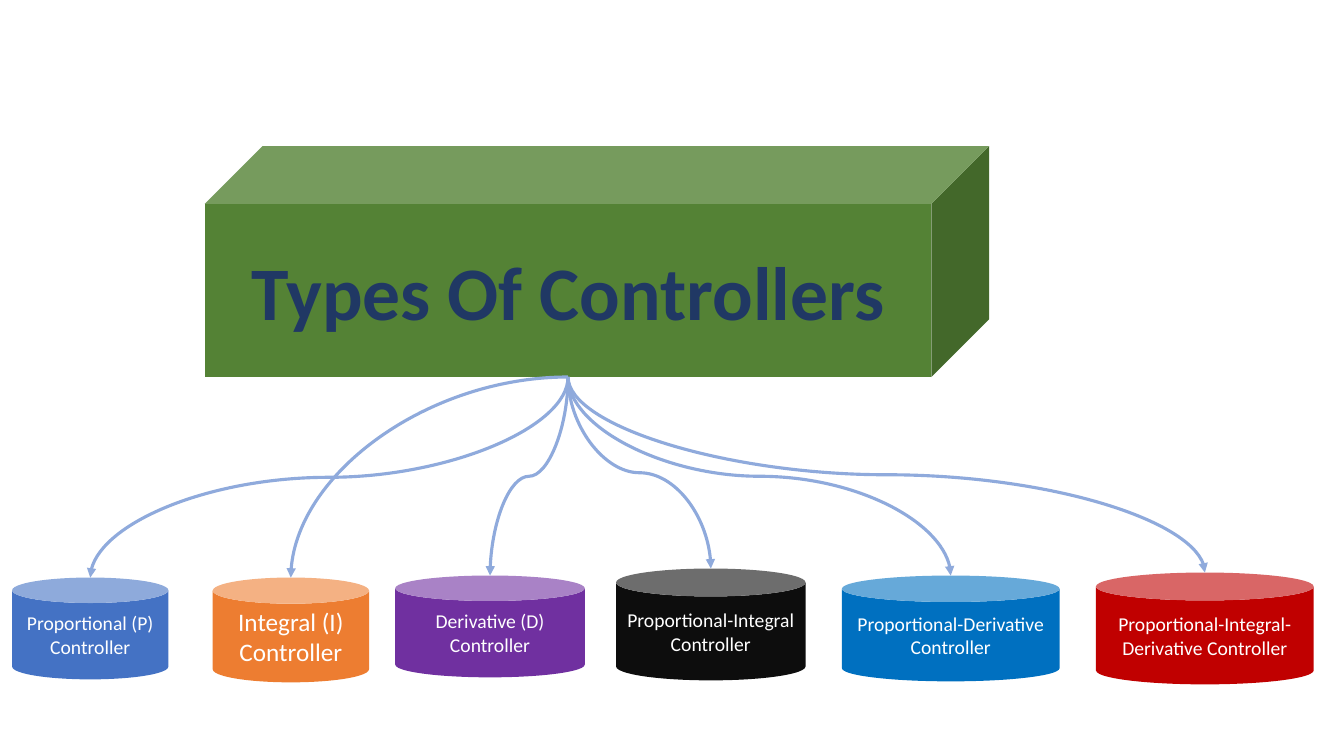
import dataclasses

import pptx
import pptx.dml.color
import pptx.enum.shapes
import pptx.enum.text
import pptx.oxml.ns
import pptx.util
from lxml import etree

PX = 9144
SHAPES = pptx.enum.shapes.MSO_SHAPE


@dataclasses.dataclass(frozen=True)
class Theme:
    """Colours and type sizes of the slide."""
    font: str = "Calibri"
    title_fill: str = "548235"
    title_text: str = "203864"
    can_text: str = "FFFFFF"
    arrow: str = "8FAADC"
    title_size: int = 54
    large_size: int = 18
    body_size: int = 14
    arrow_width: float = 2.25


THEME = Theme()

CONTROLLERS = [
    ("Proportional (P)\nController", (12, 573, 155, 101), "4472C4", THEME.body_size),
    ("Integral (I) Controller", (211, 573, 155, 104), "ED7D31", THEME.large_size),
    ("Derivative (D) Controller", (392, 571, 188, 101), "7030A0", THEME.body_size),
    ("Proportional-Integral Controller", (611, 564, 188, 111), "0D0D0D", THEME.body_size),
    ("Proportional-Derivative Controller", (835, 571, 216, 105), "0070C0", THEME.body_size),
    ("Proportional-Integral-Derivative Controller", (1087, 568, 216, 111), "C00000", THEME.body_size),
]
QUARTER_ARC = "Integral (I) Controller"


def rgb(value):
    """Return the colour object for a hex value."""
    return pptx.dml.color.RGBColor.from_string(value)


def add_solid(page, kind, box, fill, text, size, colour, bold=False):
    """Place a filled solid with centred text in the given box."""
    solid = page.shapes.add_shape(kind, *(length * PX for length in box))
    solid.shadow.inherit = False
    solid.fill.solid()
    solid.fill.fore_color.rgb = rgb(fill)
    solid.line.fill.background()
    frame = solid.text_frame
    frame.word_wrap = True
    frame.vertical_anchor = pptx.enum.text.MSO_ANCHOR.MIDDLE
    frame.text = text
    for para in frame.paragraphs:
        para.alignment = pptx.enum.text.PP_ALIGN.CENTER
        for span in para.runs:
            span.font.name = THEME.font
            span.font.size = pptx.util.Pt(size)
            span.font.bold = bold
            span.font.color.rgb = rgb(colour)


def add_curve(page, start, end, quarter):
    """Draw a curved arrow down from start to end, as an S or a quarter arc."""
    (left, top), (right, bottom) = start, end
    ends = (left, top, right, bottom)
    if not quarter:
        middle_x, middle_y = (left + right) / 2, (top + bottom) / 2
        half_drop, half_span = (bottom - top) / 2, abs(right - left) / 2
        side = 1 if right > left else -1
        ends = (middle_x + side * half_drop, middle_y - half_span,
                middle_x - side * half_drop, middle_y + half_span)
    curve = page.shapes.add_connector(
        pptx.enum.shapes.MSO_CONNECTOR.CURVE, *(round(length * PX) for length in ends))
    curve.line.color.rgb = rgb(THEME.arrow)
    curve.line.width = pptx.util.Pt(THEME.arrow_width)
    qn = pptx.oxml.ns.qn
    properties = curve.element.spPr
    if quarter:
        properties.find(qn("a:prstGeom")).set("prst", "curvedConnector2")
    else:
        degrees = 270 if right > left else 90
        properties.find(qn("a:xfrm")).set("rot", str(degrees * 60000))
    etree.SubElement(properties.find(qn("a:ln")), qn("a:tailEnd"), type="triangle")
    etree.SubElement(properties, qn("a:effectLst"))


def add_title(page, box):
    """Place the title cube and return the bottom middle of its front face."""
    add_solid(page, SHAPES.CUBE, box, THEME.title_fill, "Types Of Controllers",
              THEME.title_size, THEME.title_text, bold=True)
    left, top, width, height = box
    depth = height / 4
    return left + (width - depth) / 2, top + height


def add_controllers(page, hub):
    """Place the row of cans and an arrow from the hub to each of them."""
    for text, box, fill, size in CONTROLLERS:
        add_solid(page, SHAPES.CAN, box, fill, text, size, THEME.can_text)
    for text, (left, top, width, height), fill, size in CONTROLLERS:
        add_curve(page, hub, (left + width / 2, top), text == QUARTER_ARC)


def main():
    """Build the slide and save it."""
    deck = pptx.Presentation()
    deck.slide_width, deck.slide_height = 1333 * PX, 750 * PX
    page = deck.slides.add_slide(deck.slide_layouts[6])
    hub = add_title(page, (203, 145, 778, 229))
    add_controllers(page, hub)
    deck.save("out.pptx")


if __name__ == "__main__":
    main()
